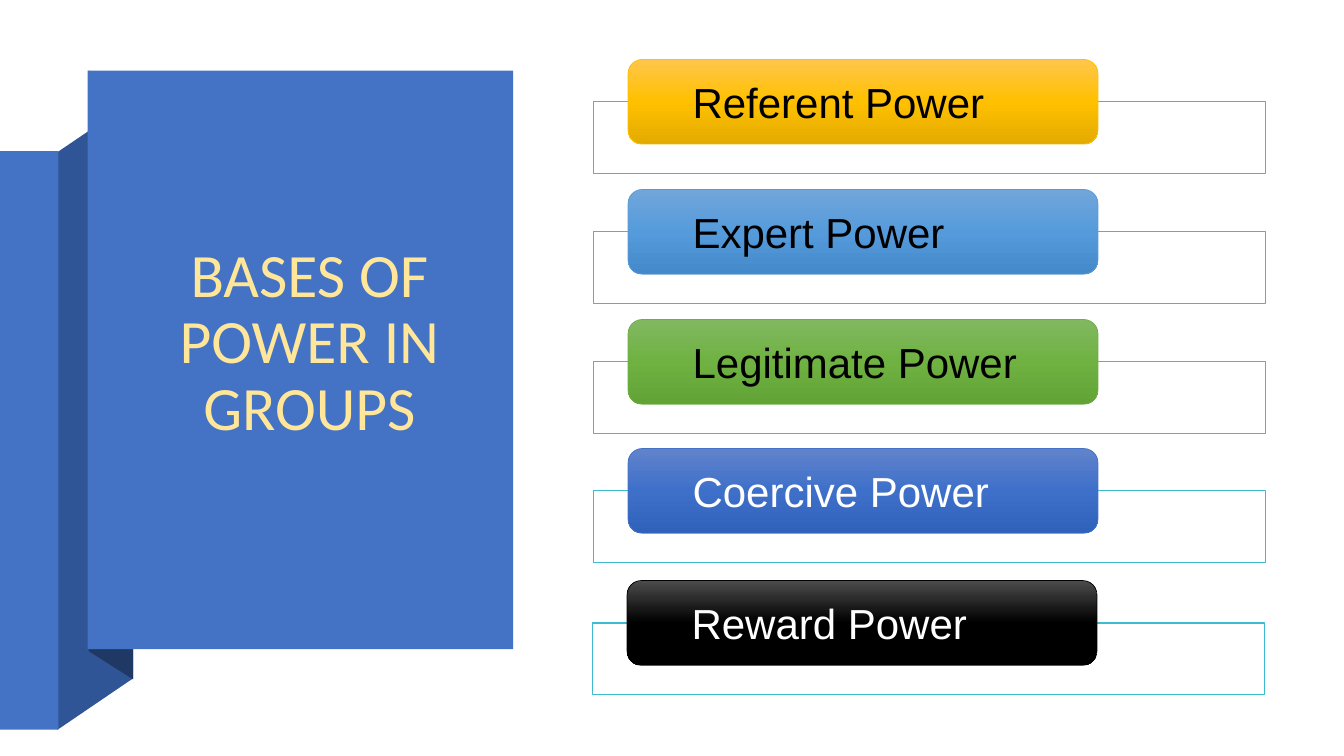
from copy import deepcopy

from lxml.etree import SubElement
from pptx import Presentation
from pptx.dml.color import RGBColor
from pptx.enum.shapes import MSO_SHAPE
from pptx.enum.text import MSO_ANCHOR, PP_ALIGN
from pptx.oxml.ns import qn
from pptx.util import Emu, Pt

PX = 9144  # 100 px to the inch

COLORS = {
    "blue": "4472C4", "fold": "2F5597", "shade": "203864",
    "title": "FFE699", "frame": "3EBAD1", "white": "FFFFFF", "black": "000000",
}

# label, left, top, gradient, outline, text colour
POWERS = [
    ("Referent Power", 589, 59, ("FFC64B", "FFC000", "E3AB00"), "FFC000", "black"),
    ("Expert Power", 589, 188, ("71A6DB", "559BDB", "448ACA"), "5B9BD5", "black"),
    ("Legitimate Power", 589, 317, ("81B861", "6FB242", "62A336"), "70AD47", "black"),
    ("Coercive Power", 589, 445, ("6183CB", "3E70CA", "3062BB"), "4472C4", "white"),
    ("Reward Power", 588, 576, ("4B4B4B", "000000", "000000"), "000000", "white"),
]


def px(n):
    return Emu(n * PX)


def rgb(name):
    return RGBColor.from_string(COLORS[name])


def add_block(shapes, kind, x, y, w, h):
    sp = shapes.add_shape(kind, px(x), px(y), px(w), px(h))
    sp.shadow.inherit = False
    return sp


def fill_plain(sp, color):
    sp.shadow.inherit = False
    sp.fill.solid()
    sp.fill.fore_color.rgb = rgb(color)
    sp.line.fill.background()


def add_panel(s, x, y, w, h):
    sp = add_block(s.shapes, MSO_SHAPE.RECTANGLE, x, y, w, h)
    fill_plain(sp, "blue")
    return sp


def add_fold(s, points, color):
    fb = s.shapes.build_freeform(*points[0], scale=PX)
    fb.add_line_segments(points[1:], close=True)
    fill_plain(fb.convert_to_shape(), color)


def fill_gradient(sp, stops):
    """Fill from top to bottom with three evenly spaced colours."""
    sp.fill.gradient()
    sp.fill.gradient_angle = 270
    gs_list = sp.element.spPr.find(qn("a:gradFill")).find(qn("a:gsLst"))
    gs_list.append(deepcopy(gs_list[-1]))
    for i, (stop, color) in enumerate(zip(sp.fill.gradient_stops, stops)):
        stop.position = i / 2
        stop.color.rgb = RGBColor.from_string(color)


def add_run(p, text, font, size, color):
    r = p.add_run()
    r.text = text
    r.font.name = font
    r.font.size = Pt(size)
    r.font.color.rgb = rgb(color)


def add_title(s, panel, text):
    title = s.shapes.title
    panel.element.addnext(title.element)
    title.left, title.top, title.width, title.height = map(px, (125, 109, 364, 464))
    tf = title.text_frame
    tf.word_wrap = True
    tf.vertical_anchor = MSO_ANCHOR.MIDDLE
    p = tf.paragraphs[0]
    p.alignment = PP_ALIGN.CENTER
    p.line_spacing = 0.9
    add_run(p, text, "Calibri", 44, "title")


def add_power(s, label, x, y, stops, outline, color):
    group = s.shapes.add_group_shape()

    frame = add_block(group.shapes, MSO_SHAPE.RECTANGLE, x, y + 42, 666, 71)
    frame.fill.solid()
    frame.fill.fore_color.rgb = rgb("white")
    clr = frame.element.spPr.find(qn("a:solidFill"))[0]
    SubElement(clr, qn("a:alpha")).set("val", "90000")
    frame.line.color.rgb = rgb("frame")
    frame.line.width = Pt(0.85)

    tab = add_block(group.shapes, MSO_SHAPE.ROUNDED_RECTANGLE, x + 34, y, 466, 84)
    fill_gradient(tab, stops)
    tab.line.color.rgb = RGBColor.from_string(outline)
    tab.line.width = Pt(0.5)
    tf = tab.text_frame
    tf.word_wrap = True
    tf.vertical_anchor = MSO_ANCHOR.MIDDLE
    tf.margin_left = tf.margin_right = tf.margin_top = tf.margin_bottom = px(10)
    p = tf.paragraphs[0]
    p.level = 1
    p.alignment = PP_ALIGN.LEFT
    pPr = p._p.get_or_add_pPr()
    pPr.set("marL", str(px(50)))
    pPr.set("indent", "0")
    add_run(p, label, "Arial", 30, color)


def main():
    prs = Presentation()
    prs.slide_width, prs.slide_height = px(1333), px(750)
    s = prs.slides.add_slide(prs.slide_layouts[5])

    add_fold(s, [(57, 724), (132, 673), (132, 100), (57, 151)], "fold")
    add_panel(s, 0, 150, 58, 574)
    add_fold(s, [(88, 646), (132, 674), (132, 99), (88, 70)], "shade")
    panel = add_panel(s, 87, 70, 422, 574)
    add_title(s, panel, "BASES OF POWER IN GROUPS")

    for power in POWERS:
        add_power(s, *power)

    prs.save("out.pptx")


if __name__ == "__main__":
    main()
